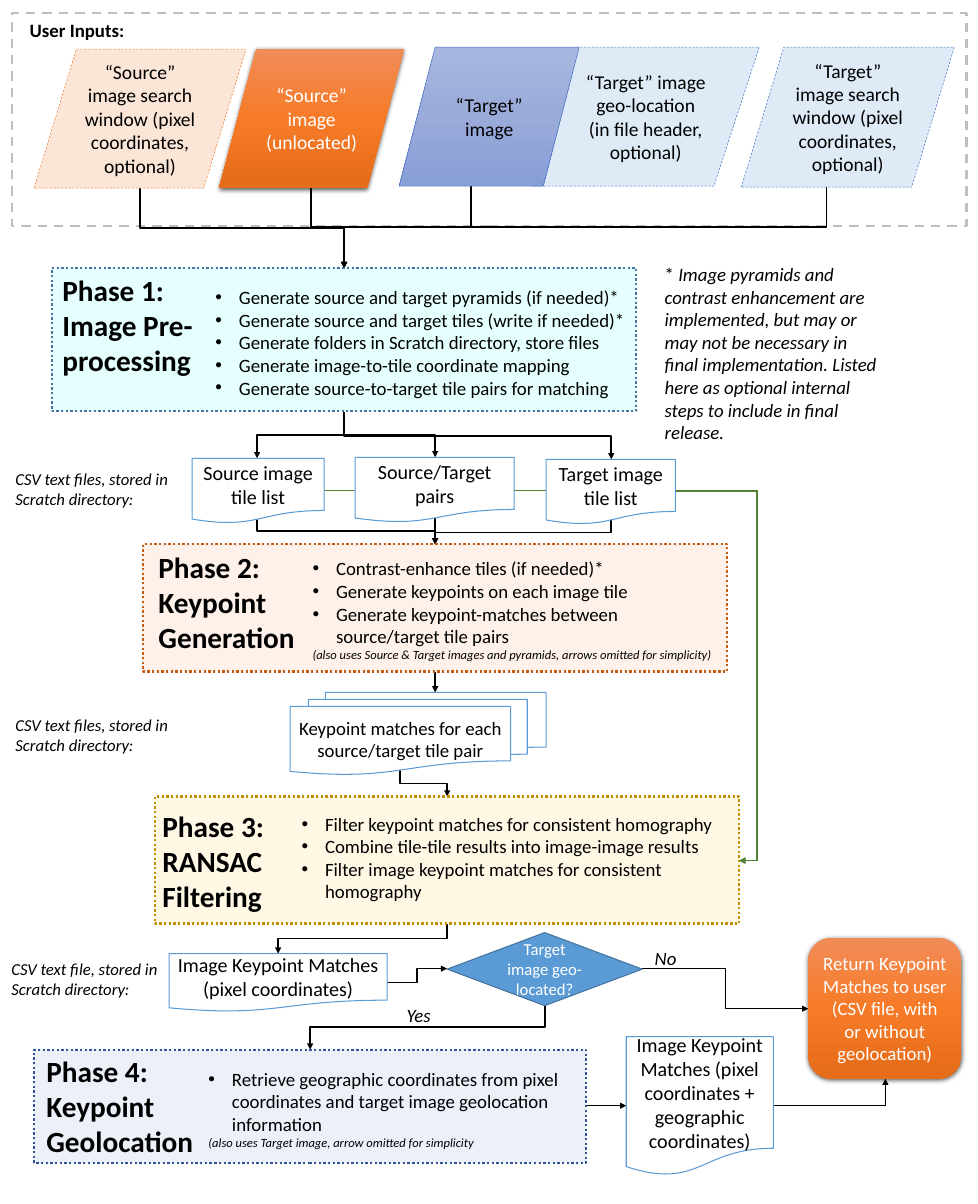
from copy import deepcopy

from lxml import etree
from pptx import Presentation
from pptx.dml.color import RGBColor
from pptx.enum.dml import MSO_LINE
from pptx.enum.shapes import MSO_CONNECTOR, MSO_SHAPE
from pptx.enum.text import MSO_ANCHOR, MSO_AUTO_SIZE, PP_ALIGN
from pptx.oxml.ns import qn
from pptx.util import Inches, Pt

SCALE = 914400 / 75.2
FONT = "Calibri"
BLACK, WHITE, BLUE, GREEN = "000000", "FFFFFF", "5B9BD5", "548235"
ORANGE = ("F18C57", "F67B28", "E56C19")
INDIGO = ("A8B7DF", "9AABD9", "889ED7")
DASH, DOT = MSO_LINE.DASH, MSO_LINE.ROUND_DOT
ELBOW = MSO_CONNECTOR.ELBOW
RECT, ROUND, RHOMB = MSO_SHAPE.RECTANGLE, MSO_SHAPE.ROUNDED_RECTANGLE, MSO_SHAPE.DIAMOND
SLANT, DOC = MSO_SHAPE.FLOWCHART_DATA, MSO_SHAPE.FLOWCHART_DOCUMENT
STACK = MSO_SHAPE.FLOWCHART_MULTIDOCUMENT
LEFT, CENTER = PP_ALIGN.LEFT, PP_ALIGN.CENTER
MIDDLE, GROW = MSO_ANCHOR.MIDDLE, MSO_AUTO_SIZE.SHAPE_TO_FIT_TEXT


def px(*vals):
    """Turn pixels into EMU."""
    return [round(v * SCALE) for v in vals]


def rgb(code):
    """Turn a hex string into a colour."""
    return RGBColor.from_string(code)


def node(parent, tag, **attrs):
    """Append a DrawingML child element."""
    return etree.SubElement(parent, qn("a:" + tag), attrs)


def write(frame, text, size, color=BLACK, bold=False, slope=False,
          align=LEFT, dot=False):
    """Add one paragraph to a text frame."""
    para = frame.add_paragraph() if frame.text else frame.paragraphs[0]
    para.text = text
    para.alignment = align
    if dot:
        prop = para._p.get_or_add_pPr()
        prop.set("marL", "285750")
        prop.set("indent", "-285750")
        node(prop, "buFont", typeface="Arial")
        node(prop, "buChar", char="•")
    font = para.font
    font.name, font.size, font.bold, font.italic = FONT, Pt(size), bold, slope
    font.color.rgb = rgb(color)
    return para


def blend(shape, codes):
    """Fill a shape with an even top-down gradient."""
    shape.fill.gradient()
    shape.fill.gradient_angle = 270
    stops = shape._element.spPr.find(".//" + qn("a:gsLst"))
    for _ in codes[2:]:
        stops.append(deepcopy(stops[0]))
    for i, (stop, code) in enumerate(zip(shape.fill.gradient_stops, codes)):
        stop.color.rgb = rgb(code)
        stop.position = i / (len(codes) - 1)


def shade(shape):
    """Give a shape a soft shadow below it."""
    glow = node(shape._element.spPr.find(qn("a:effectLst")), "outerShdw",
                blurRad="57150", dist="19050", dir="5400000")
    node(node(glow, "srgbClr", val=BLACK), "alpha", val="63000")


def block(slide, kind, box, fill=None, line=None, width=1, dash=None,
          text="", size=18, color=BLACK):
    """Draw a preset shape with centred text."""
    shape = slide.shapes.add_shape(kind, *px(*box))
    shape.shadow.inherit = False
    if isinstance(fill, tuple):
        blend(shape, fill)
    elif fill:
        shape.fill.solid()
        shape.fill.fore_color.rgb = rgb(fill)
    else:
        shape.fill.background()
    if line:
        shape.line.color.rgb = rgb(line)
        shape.line.width = Pt(width)
        shape.line.dash_style = dash
    else:
        shape.line.fill.background()
    if text:
        shape.text_frame.word_wrap = True
        shape.text_frame.vertical_anchor = MIDDLE
        write(shape.text_frame, text, size, color, align=CENTER)
    return shape


def label(slide, box):
    """Add a wrapping text box and return its frame."""
    frame = slide.shapes.add_textbox(*px(*box)).text_frame
    frame.word_wrap = True
    frame.auto_size = GROW
    return frame


def phase(slide, box, fill, line, title, name, inner, steps, note=""):
    """Draw a phase panel with its title, bulleted steps and a note."""
    panel = block(slide, RECT, box, fill, line, 2.25, DOT)
    tint = panel._element.spPr.find(qn("a:solidFill"))[0]
    node(tint, "alpha", val="17000")
    frame = label(slide, (*title, 213, 114))
    for text in name:
        write(frame, text, 28, bold=True)
    frame = label(slide, inner)
    for text in steps:
        write(frame, text, 18, dot=True)
    if note:
        write(frame, note, 12, slope=True)


def arrow(slide, start, end, color=BLACK, bend=None):
    """Draw an elbow arrow that leaves sideways; bend is the x of its turn."""
    line = slide.shapes.add_connector(ELBOW, *px(*start, *end))
    line.line.color.rgb = rgb(color)
    line.line.width = Pt(1.5)
    prop = line._element.spPr
    node(prop.find(qn("a:ln")), "tailEnd", type="triangle")
    node(prop, "effectLst")
    if bend:
        part = round((bend - start[0]) / (end[0] - start[0]) * 100000)
        geom = prop.find(qn("a:prstGeom"))
        node(geom.find(qn("a:avLst")), "gd", name="adj1", fmla=f"val {part}")
    return prop


def drop(slide, start, end):
    """Draw an elbow arrow that leaves downwards."""
    (x1, y1), (x2, y2) = start, end
    mid, half = ((x1 + x2) / 2, (y1 + y2) / 2), (y2 - y1) / 2
    side = 1 if x2 > x1 else -1
    rise = abs(x2 - x1) / 2
    prop = arrow(slide, (mid[0] + side * half, mid[1] - rise),
                 (mid[0] - side * half, mid[1] + rise))
    prop.find(qn("a:xfrm")).set("rot", str((180 + side * 90) * 60000))


def flow(slide):
    """Draw every arrow of the flow."""
    fans = [
        ([(140, 188), (311, 186), (471, 186), (826, 186)], [(344, 268)]),
        ([(344, 412)], [(257, 458), (435, 457), (611, 459)]),
        ([(257, 518), (435, 518), (611, 520)], [(435, 544)]),
        ([(435, 672)], [(435, 692)]),
        ([(400, 770)], [(447, 796)]),
        ([(447, 923)], [(278, 953)]),
        ([(545, 1004)], [(310, 1049)]),
    ]
    for starts, ends in fans:
        for start in starts:
            for end in ends:
                drop(slide, start, end)
    for start in ((324, 490), (514, 490), (675, 491)):
        arrow(slide, start, (739, 860), GREEN, 757)
    arrow(slide, (387, 982), (447, 968))
    arrow(slide, (642, 968), (808, 1008))
    arrow(slide, (586, 1105), (626, 1105))
    turn = arrow(slide, (773, 1105), (885, 1078))
    turn.find(qn("a:prstGeom")).set("prst", "bentConnector2")


def main():
    """Build the slide and save it."""
    deck = Presentation()
    deck.slide_width, deck.slide_height = Inches(13), Inches(16)
    slide = deck.slides.add_slide(deck.slide_layouts[6])

    block(slide, RECT, (12, 13, 954, 213), None, "BFBFBF", 2.25, DASH)
    write(label(slide, (0, 15, 154, 30)), "User Inputs:", 18, bold=True, align=CENTER)
    flow(slide)

    search = "image search window (pixel coordinates, optional)"
    place = "“Target” image geo-location (in file header, optional)"
    for box, fill, line, dash, text, color in (
        ((532, 47, 227, 139), "DEEBF7", "4472C4", DASH, place, BLACK),
        ((219, 49, 185, 139), ORANGE, None, None, "“Source” image (unlocated)", WHITE),
        ((399, 47, 180, 139), INDIGO, "4472C4", None, "“Target” image", BLACK),
        ((34, 49, 212, 139), "FBE5D6", "ED7D31", DASH, "“Source” " + search, BLACK),
        ((741, 47, 213, 140), "DEEBF7", "4472C4", DASH, "“Target” " + search, BLACK),
    ):
        shape = block(slide, SLANT, box, fill, line, 0.5, dash, text, 18.7, color)
        if not line:
            shade(shape)

    phase(slide, (52, 268, 584, 143), "66FFFF", "43739E",
          (55, 268), ["Phase 1:", "Image Pre-processing"], (208, 282, 428, 122),
          ["Generate source and target pyramids (if needed)*",
           "Generate source and target tiles (write if needed)*",
           "Generate folders in Scratch directory, store files",
           "Generate image-to-tile coordinate mapping",
           "Generate source-to-target tile pairs for matching"])
    phase(slide, (143, 544, 584, 127), "F4B183", "C55A11",
          (151, 545), ["Phase 2:", "Keypoint Generation"], (305, 553, 428, 114),
          ["Contrast-enhance tiles (if needed)*",
           "Generate keypoints on each image tile",
           "Generate keypoint-matches between source/target tile pairs"],
          "(also uses Source & Target images and pyramids, arrows omitted for simplicity)")
    phase(slide, (155, 796, 584, 127), "FFD966", "BF9000",
          (155, 804), ["Phase 3:", "RANSAC Filtering"], (294, 808, 442, 99),
          ["Filter keypoint matches for consistent homography",
           "Combine tile-tile results into image-image results",
           "Filter image keypoint matches for consistent homography"])
    phase(slide, (34, 1049, 552, 113), "8FAADC", "2F5597",
          (39, 1049), ["Phase 4:", "Keypoint Geolocation"], (201, 1063, 385, 91),
          ["Retrieve geographic coordinates from pixel coordinates "
           "and target image geolocation information"],
          "(also uses Target image, arrow omitted for simplicity")

    for box, text in (
        ((192, 458, 132, 65), "Source image tile list"),
        ((355, 457, 159, 65), "Source/Target pairs"),
        ((546, 459, 129, 65), "Target image tile list"),
        ((169, 953, 218, 58), "Image Keypoint Matches (pixel coordinates)"),
        ((626, 1036, 147, 139),
         "Image Keypoint Matches (pixel coordinates + geographic coordinates)"),
    ):
        block(slide, DOC, box, WHITE, BLUE, text=text, size=19.2)
    block(slide, STACK, (290, 692, 256, 82), WHITE, BLUE,
          text="Keypoint matches for each source/target tile pair")
    block(slide, RHOMB, (447, 932, 195, 73), BLUE, "43739E",
          text="Target image geo-located?", size=16, color=WHITE)
    shade(block(slide, ROUND, (808, 937, 153, 141), ORANGE, color=WHITE,
                text="Return Keypoint Matches to user "
                     "(CSV file, with or without geolocation)"))

    for x, y, noun in ((8, 465, "files"), (8, 711, "files"), (4, 954, "file")):
        write(label(slide, (x, y, 175, 48)),
              f"CSV text {noun}, stored in Scratch directory:", 16, slope=True)
    for box, text in (((647, 942, 42, 30), "No"), ((399, 999, 46, 30), "Yes")):
        write(label(slide, box), text, 18, slope=True)
    aside = write(label(slide, (657, 259, 228, 190)), "* ", 18)
    run = aside.add_run()
    run.text = ("Image pyramids and contrast enhancement are implemented, but may "
                "or may not be necessary in final implementation. Listed here as "
                "optional internal steps to include in final release.")
    run.font.italic = True
    deck.save("out.pptx")


main()
